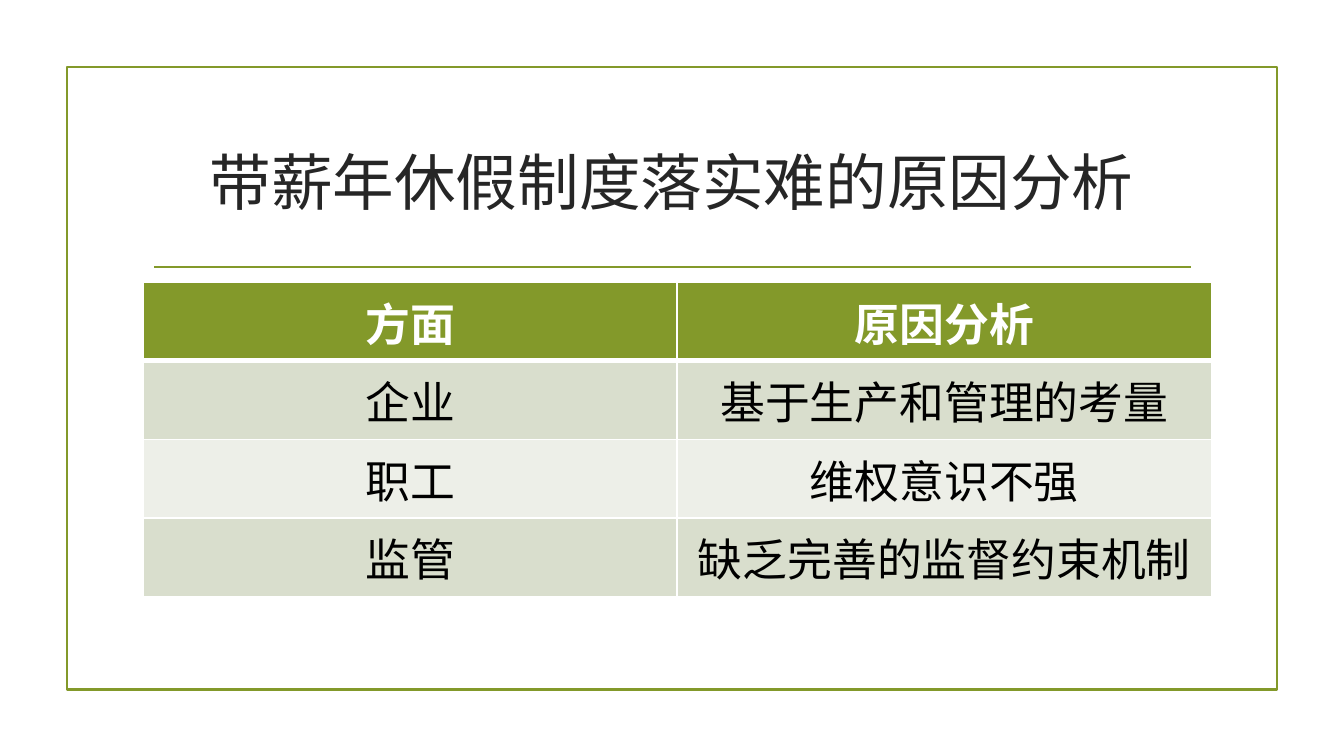
from dataclasses import dataclass

from lxml.etree import SubElement
from pptx import Presentation
from pptx.dml.color import RGBColor
from pptx.enum.shapes import MSO_CONNECTOR as Connector, MSO_SHAPE as Shape
from pptx.enum.text import MSO_ANCHOR as Anchor, PP_ALIGN as Align
from pptx.oxml.ns import qn
from pptx.util import Pt


@dataclass(frozen=True)
class Theme:
    font: str = "Times New Roman"
    accent: str = "83992A"
    title: str = "262626"
    body: str = "000000"
    white: str = "FFFFFF"
    bands: tuple = ("D9DECD", "EDEFE8")
    title_size: float = 33
    table_size: float = 24
    line_width: float = 1.25
    border: float = 1
    header_border: float = 3


class SlideBuilder:
    """Draws styled elements on one slide, with lengths in points."""

    def __init__(self, slide, theme):
        self.slide = slide
        self.theme = theme

    def add_text(self, text_frame, text, size, color, bold=False):
        paragraph = text_frame.paragraphs[0]
        paragraph.alignment = Align.CENTER
        run = paragraph.add_run()
        run.text = text
        run.font.name = self.theme.font
        run.font.size = Pt(size)
        run.font.bold = bold
        run.font.color.rgb = RGBColor.from_string(color)

    def outline(self, line):
        line.color.rgb = RGBColor.from_string(self.theme.accent)
        line.width = Pt(self.theme.line_width)

    def frame(self, left, top, width, height):
        shape = self.slide.shapes.add_shape(
            Shape.RECTANGLE, Pt(left), Pt(top), Pt(width), Pt(height))
        shape.shadow.inherit = False
        shape.fill.background()
        self.outline(shape.line)

    def rule(self, left, right, top):
        connector = self.slide.shapes.add_connector(
            Connector.STRAIGHT, Pt(left), Pt(top), Pt(right), Pt(top))
        self.outline(connector.line)
        SubElement(connector._element.spPr, qn("a:effectLst"))

    def title(self, text, left, top, width, height):
        shape = self.slide.shapes.title
        shape.left, shape.top = Pt(left), Pt(top)
        shape.width, shape.height = Pt(width), Pt(height)
        shape.text_frame.word_wrap = True
        shape.text_frame.vertical_anchor = Anchor.MIDDLE
        self.add_text(shape.text_frame, text, self.theme.title_size, self.theme.title)

    def borders(self, cell, top, bottom):
        properties = cell._tc.get_or_add_tcPr()
        base = self.theme.border
        for side, width in (("L", base), ("R", base), ("T", top), ("B", bottom)):
            line = SubElement(properties, qn(f"a:ln{side}"), w=str(Pt(width)))
            fill = SubElement(line, qn("a:solidFill"))
            SubElement(fill, qn("a:srgbClr"), val=self.theme.white)

    def table(self, rows, left, top, width, height):
        theme = self.theme
        table = self.slide.shapes.add_table(
            len(rows), len(rows[0]), Pt(left), Pt(top), Pt(width), Pt(height)).table
        for index, texts in enumerate(rows):
            header = index == 0
            fill = theme.accent if header else theme.bands[(index - 1) % 2]
            above = theme.header_border if index == 1 else theme.border
            below = theme.header_border if header else theme.border
            for column, text in enumerate(texts):
                cell = table.cell(index, column)
                cell.vertical_anchor = Anchor.MIDDLE
                self.borders(cell, above, below)
                cell.fill.solid()
                cell.fill.fore_color.rgb = RGBColor.from_string(fill)
                color = theme.white if header else theme.body
                self.add_text(cell.text_frame, text, theme.table_size, color, header)


def main():
    presentation = Presentation()
    presentation.slide_width, presentation.slide_height = Pt(720), Pt(405)
    slide = presentation.slides.add_slide(presentation.slide_layouts[5])
    builder = SlideBuilder(slide, Theme())
    builder.frame(36, 36, 648, 333.4)
    builder.rule(82.6, 638, 143.2)
    builder.title("带薪年休假制度落实难的原因分析", 76.5, 58.5, 566.5, 77)
    reasons = [
        ("方面", "原因分析"),
        ("企业", "基于生产和管理的考量"),
        ("职工", "维权意识不强"),
        ("监管", "缺乏完善的监督约束机制"),
    ]
    builder.table(reasons, 76.6, 151.3, 572.4, 164.8)
    presentation.save("out.pptx")


if __name__ == "__main__":
    main()
